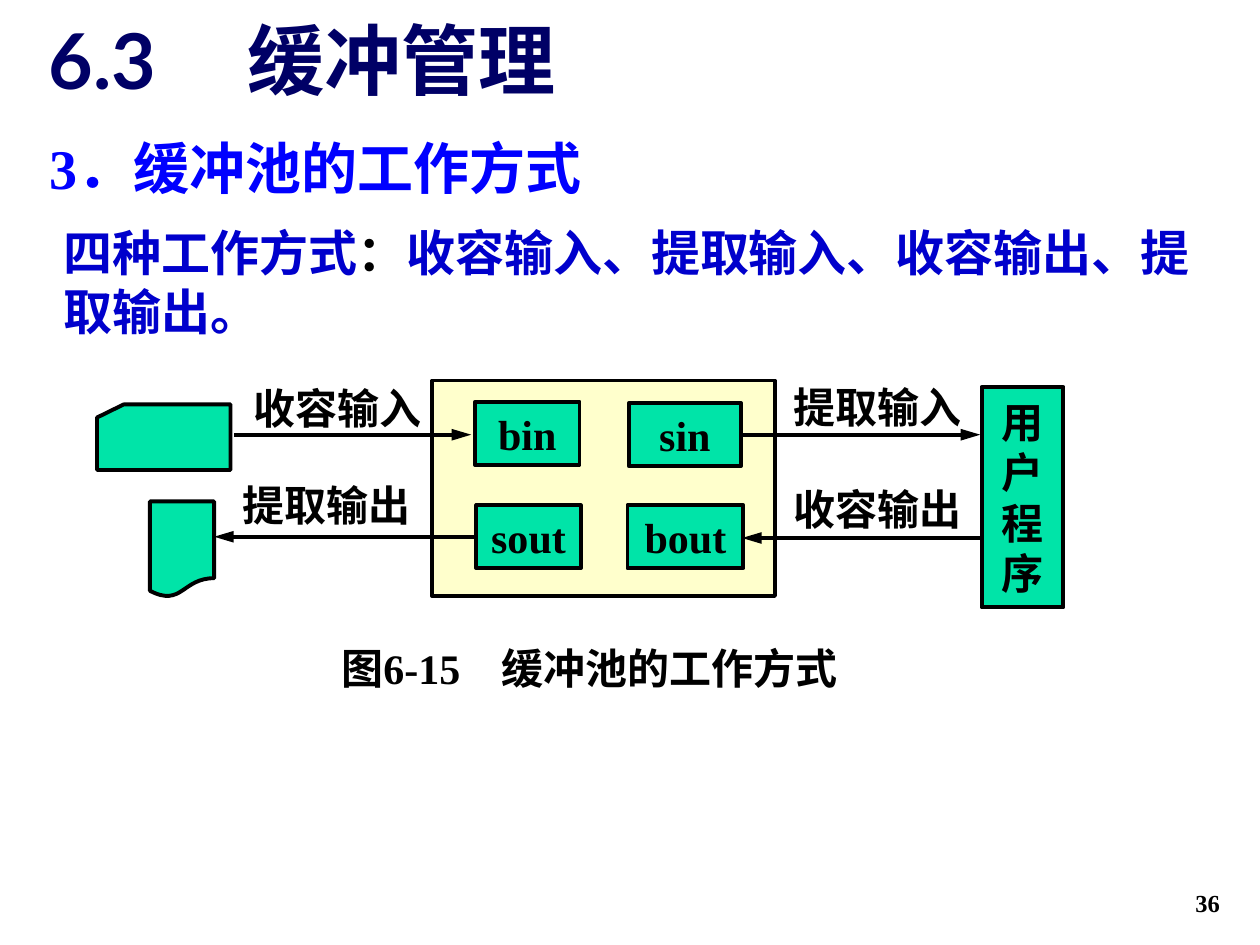
from lxml.etree import SubElement
from pptx import Presentation
from pptx.dml.color import RGBColor
from pptx.enum.shapes import MSO_CONNECTOR, MSO_SHAPE as SHAPE
from pptx.enum.text import MSO_ANCHOR as ANCHOR, MSO_AUTO_SIZE, PP_ALIGN as ALIGN
from pptx.oxml.ns import qn
from pptx.util import Inches, Pt

COLORS = {
    "black": "000000",
    "navy": "000066",
    "blue": "0000FF",
    "body": "0000CC",
    "green": "00E4A8",
    "cream": "FFFFCC",
}
SERIF, SANS, CJK = "Times New Roman", "Lato", "Noto Sans CJK SC"


class Board:
    """Drawing style together with the current slide."""

    def __init__(self, slide):
        self.slide = slide
        self.line_width = Pt(2.25)

    def color(self, name):
        return RGBColor.from_string(COLORS[name])

    def set_text(self, sp, runs, size=24, font=SANS, align=ALIGN.CENTER,
                 anchor=ANCHOR.TOP, tab=None):
        """Fill a shape with one paragraph of (text, color) runs."""
        tf = sp.text_frame
        tf.word_wrap = True
        tf.auto_size = MSO_AUTO_SIZE.NONE
        tf.vertical_anchor = anchor
        p = tf.paragraphs[0]
        p.alignment = align
        if tab:
            tabs = SubElement(p._p.get_or_add_pPr(), qn("a:tabLst"))
            SubElement(tabs, qn("a:tab"), pos=str(Inches(tab)), algn="l")
        for text, color in runs:
            r = p.add_run()
            r.text = text
            r.font.size = Pt(size)
            r.font.bold = True
            r.font.name = font
            r.font.color.rgb = self.color(color)
            SubElement(r._r.get_or_add_rPr(), qn("a:ea"), typeface=SANS)

    def title(self, box, runs, **style):
        sp = self.slide.shapes.title
        sp.left, sp.top, sp.width, sp.height = map(Inches, box)
        self.set_text(sp, runs, **style)

    def text(self, box, runs, **style):
        sp = self.slide.shapes.add_textbox(*map(Inches, box))
        self.set_text(sp, runs, **style)

    def shape(self, kind, box, fill="green", text=None, **style):
        sp = self.slide.shapes.add_shape(kind, *map(Inches, box))
        sp.shadow.inherit = False
        sp.fill.solid()
        sp.fill.fore_color.rgb = self.color(fill)
        sp.line.color.rgb = self.color("black")
        sp.line.width = self.line_width
        if text:
            self.set_text(sp, [(text, "black")], **style)

    def arrow(self, x1, x2, y):
        sp = self.slide.shapes.add_connector(
            MSO_CONNECTOR.STRAIGHT, *map(Inches, (x1, y, x2, y)))
        sp.line.color.rgb = self.color("black")
        sp.line.width = self.line_width
        SubElement(sp.line._get_or_add_ln(), qn("a:tailEnd"),
                   type="triangle", w="med", len="lg")
        SubElement(sp._element.spPr, qn("a:effectLst"))


def main():
    prs = Presentation()
    prs.slide_width, prs.slide_height = Inches(10), Inches(7.5)
    board = Board(prs.slides.add_slide(prs.slide_layouts[5]))

    # Headings and introduction
    heading = dict(align=ALIGN.LEFT, anchor=ANCHOR.BOTTOM)
    board.text((0.29, 0.12, 9.43, 0.76), [("6.3\t缓冲管理", "navy")],
               size=44, tab=1.58, **heading)
    board.title((0.29, 0.88, 9.43, 0.76), [("3．缓冲池的工作方式", "blue")],
                size=32, font=SERIF, **heading)
    board.text((0.41, 1.72, 9.14, 1.04),
               [("四种工作方式", "body"), ("：", "black"),
                ("收容输入、提取输入、收容输出、提取输出。", "body")],
               size=28, font=CJK, align=ALIGN.LEFT)

    # Input card, output document and buffer pool
    board.shape(SHAPE.FLOWCHART_CARD, (0.77, 3.21, 1.06, 0.52))
    board.shape(SHAPE.FLOWCHART_DOCUMENT, (1.19, 3.98, 0.51, 0.76))
    board.shape(SHAPE.RECTANGLE, (3.43, 3.02, 2.72, 1.71), fill="cream")

    # Buffers in the pool
    for name, x, y, width in (("bin", 3.77, 3.19, 0.83), ("sin", 4.99, 3.2, 0.89),
                              ("sout", 3.78, 4.01, 0.83), ("bout", 4.98, 4.01, 0.92)):
        board.shape(SHAPE.RECTANGLE, (x, y, width, 0.5), text=name, font=SERIF)

    # User program
    board.shape(SHAPE.RECTANGLE, (7.79, 3.07, 0.65, 1.75), text="用户程序",
                anchor=ANCHOR.MIDDLE)

    # Data flows with their labels
    for label, x, y, start, end, line_y in (
            ("收容输入", 1.89, 2.99, 1.86, 3.74, 3.45),
            ("提取输出", 1.81, 3.76, 3.76, 1.7, 4.26),
            ("提取输入", 6.18, 2.98, 5.89, 7.78, 3.45),
            ("收容输出", 6.18, 3.79, 7.78, 5.89, 4.27)):
        board.text((x, y, 1.57, 0.5), [(label, "black")])
        board.arrow(start, end, line_y)

    # Caption and page number
    board.text((2.61, 5.05, 4.39, 0.5), [("图6-15\t缓冲池的工作方式", "black")],
               font=SERIF, align=ALIGN.LEFT, tab=1.27)
    board.text((7.7, 6.83, 2.08, 0.5), [("36", "black")], size=14, font=SERIF,
               align=ALIGN.RIGHT, anchor=ANCHOR.BOTTOM)

    prs.save("out.pptx")


if __name__ == "__main__":
    main()
